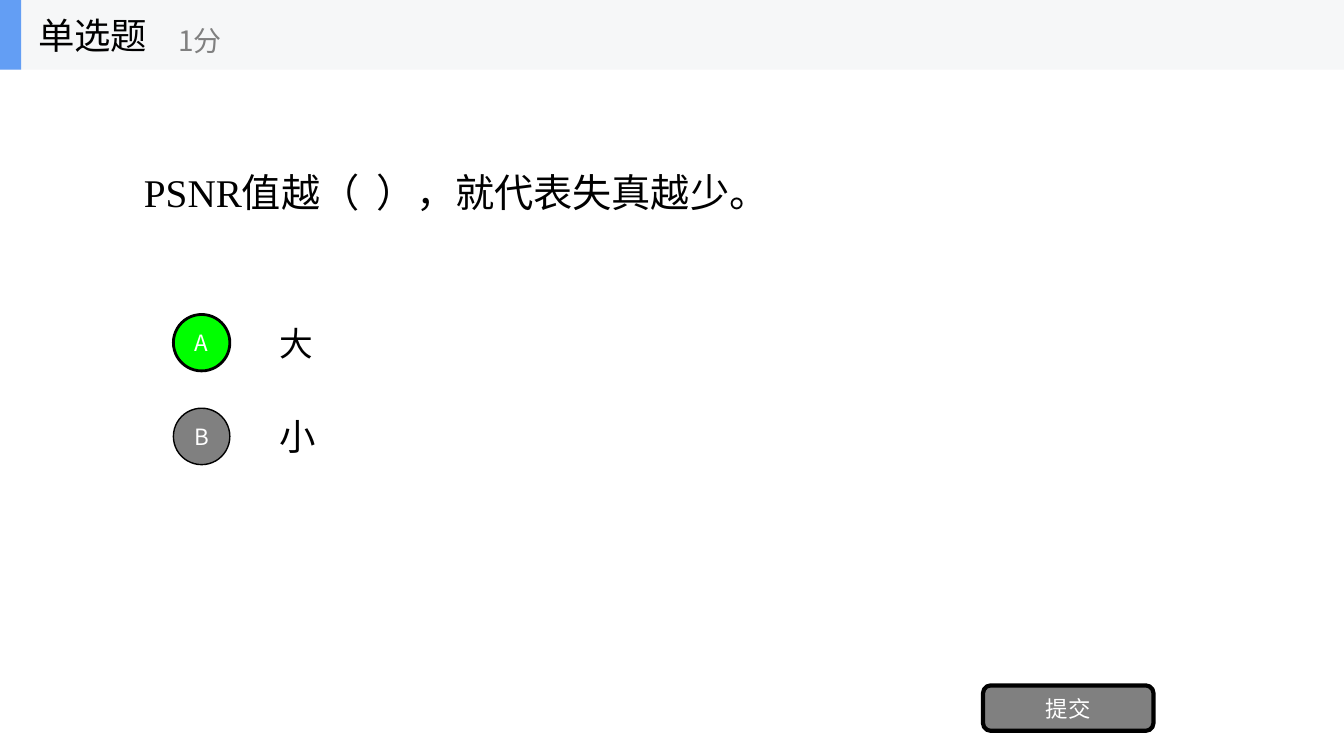
from pptx import Presentation
from pptx.dml.color import RGBColor
from pptx.enum.shapes import MSO_SHAPE
from pptx.enum.text import MSO_ANCHOR, PP_ALIGN
from pptx.oxml.ns import qn
from pptx.util import Inches, Pt

RECT, OVAL, ROUND = MSO_SHAPE.RECTANGLE, MSO_SHAPE.OVAL, MSO_SHAPE.ROUNDED_RECTANGLE
MIDDLE = MSO_ANCHOR.MIDDLE
LEFT, CENTER = PP_ALIGN.LEFT, PP_ALIGN.CENTER


class Theme:
    sans, serif = "Noto Sans CJK SC", "Times New Roman"
    black, white, gray = "000000", "FFFFFF", "808080"
    green, blue, pale = "00FF00", "639EF4", "F6F7F8"
    ask, title, score, label = 28, 26, 20, 16


TITLE, SCORE, SUBMIT = "单选题", "1分", "提交"
QUESTION = [("PSNR", Theme.serif), ("值越（  ），就代表失真越少。", Theme.sans)]
# letter, answer, answer size, badge fill, badge line width
OPTIONS = [
    ("A", "大", 24, Theme.green, 2),
    ("B", "小", 26, Theme.gray, 1),
]
WIDE, HIGH = 13.33, 7.5
BAR = 0.69
ROW_TOP, ROW_STEP, ROW_HIGH = 3.05, 0.93, 0.7
BADGE = 0.56


def rgb(code):
    return RGBColor.from_string(code)


def write(shape, runs, size, color, align=LEFT):
    """Fill a shape with one paragraph of (text, font) runs."""
    frame = shape.text_frame
    frame.word_wrap = True
    frame.vertical_anchor = MIDDLE
    para = frame.paragraphs[0]
    para.alignment = align
    for text, face in runs:
        run = para.add_run()
        run.text = text
        font = run.font
        font.name, font.size = face, Pt(size)
        font.color.rgb = rgb(color)
        east = font._element.makeelement(qn("a:ea"), {"typeface": face})
        font._element.find(qn("a:latin")).addnext(east)
    return para


def label(shapes, box, runs, size, color=Theme.black):
    return write(shapes.add_textbox(*map(Inches, box)), runs, size, color)


def block(shapes, kind, box, fill, line=0, text=""):
    """Draw a filled shape, outlined if line is set, with centred text."""
    shape = shapes.add_shape(kind, *map(Inches, box))
    shape.shadow.inherit = False
    shape.fill.solid()
    shape.fill.fore_color.rgb = rgb(fill)
    if line:
        shape.line.color.rgb = rgb(Theme.black)
        shape.line.width = Pt(line)
    else:
        shape.line.fill.background()
    if text:
        frame = shape.text_frame
        frame.margin_left = frame.margin_right = 0
        frame.margin_top = frame.margin_bottom = 0
        write(shape, [(text, Theme.sans)], Theme.label, Theme.white, CENTER)


def main():
    deck = Presentation()
    deck.slide_width, deck.slide_height = Inches(WIDE), Inches(HIGH)
    shapes = deck.slides.add_slide(deck.slide_layouts[6]).shapes

    ask = label(shapes, (1.33, BAR, 10.67, 2.34), QUESTION, Theme.ask)
    ask.line_spacing = 1.2

    for row, (letter, answer, size, fill, line) in enumerate(OPTIONS):
        top = ROW_TOP + row * ROW_STEP
        label(shapes, (2.67, top, 9.33, ROW_HIGH), [(answer, Theme.sans)], size)
        inset = (ROW_HIGH - BADGE) / 2
        block(shapes, OVAL, (1.72, top + inset, BADGE, BADGE), fill, line, letter)

    block(shapes, ROUND, (9.75, 6.8, 1.69, 0.45), Theme.gray, 3, SUBMIT)

    head = shapes.add_group_shape().shapes
    block(head, RECT, (0, 0, WIDE, BAR), Theme.pale)
    block(head, RECT, (0, 0, 0.21, BAR), Theme.blue)
    label(head, (0.28, 0, 2.08, BAR), [(TITLE, Theme.sans)], Theme.title)
    label(head, (1.67, 0.12, 2.5, 0.56), [(SCORE, Theme.sans)], Theme.score, Theme.gray)

    deck.save("out.pptx")


if __name__ == "__main__":
    main()
